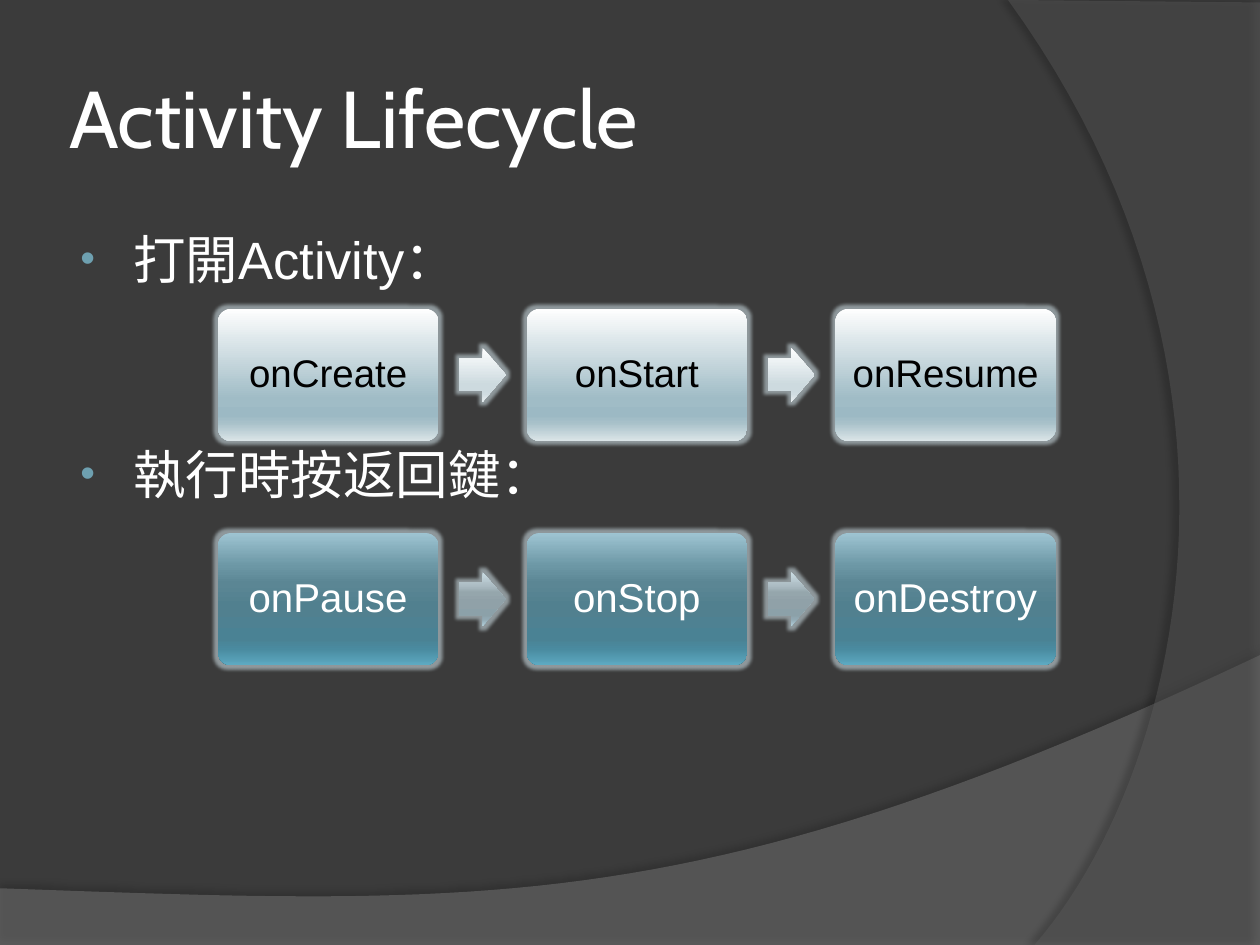
from lxml.etree import SubElement
from pptx import Presentation
from pptx.dml.color import RGBColor
from pptx.enum.shapes import MSO_SHAPE as Preset
from pptx.enum.text import MSO_ANCHOR as Anchor, PP_ALIGN as Align
from pptx.oxml.ns import qn
from pptx.util import Inches, Pt

GRID = Inches(0.1)
COLUMNS, ROWS = 100, 75
BACKDROP = RGBColor(0x3B, 0x3B, 0x3B)
WAVE = RGBColor(0x7F, 0x7F, 0x7F)
ARC = RGBColor(0x5E, 0x5E, 0x5E)
WHITE = RGBColor(0xFF, 0xFF, 0xFF)
BLACK = RGBColor(0x00, 0x00, 0x00)
BULLET = RGBColor(0x6E, 0xA0, 0xB0)
GLOW = RGBColor(0xC8, 0xD8, 0xDE)


def stops(positions, colours):
    """Pair gradient positions in percent with their colours."""
    return [(place, RGBColor.from_string(code)) for place, code in zip(positions, colours.split())]


OPEN_STOPS = (0, 68, 81, 86, 100)
CLOSE_STOPS = (0, 25, 38, 55, 80, 88, 100)
OPEN_CARD = stops(OPEN_STOPS, "FEFEFE A0BCC6 9CB9C4 A7C0C9 DAE4E7")
OPEN_ARROW = stops(OPEN_STOPS, "FEFFFF CDDADF CBD9DE D0DCE1 EAEFF1")
CLOSE_CARD = stops(CLOSE_STOPS, "9EC4D2 6C97A5 5B8694 51808F 4A8294 4A8BA0 5DAAC2")
CLOSE_ARROW = stops(CLOSE_STOPS, "CCDEE5 ACBCC3 95A6AC 90A1A8 8CA1A9 92AAB4 B4D0DC")


def cells(*counts):
    """Turn counts of grid cells into lengths."""
    return [round(count * GRID) for count in counts]


def add_colour(parent, colour, opacity=100):
    """Append a colour with an opacity in percent."""
    tint = SubElement(parent, qn("a:srgbClr"), val=str(colour))
    if opacity < 100:
        SubElement(tint, qn("a:alpha"), val=str(opacity * 1000))


def add_effect(shape, tag, colour, opacity, **settings):
    """Give a shape one effect in place of the theme's."""
    shape.shadow.inherit = False
    effects = shape._element.spPr.find(qn("a:effectLst"))
    values = {name: str(value) for name, value in settings.items()}
    add_colour(SubElement(effects, qn(tag), **values), colour, opacity)


def bezier(start, first, second, end, steps=48):
    """List the points of a cubic curve after its start."""
    curve = []
    for step in range(1, steps + 1):
        t = step / steps
        weights = ((1 - t) ** 3, 3 * t * (1 - t) ** 2, 3 * t * t * (1 - t), t ** 3)
        points = (start, first, second, end)
        curve.append(tuple(sum(w * p[axis] for w, p in zip(weights, points)) for axis in (0, 1)))
    return curve


def add_swoosh(page, points, colour, opacity, shadow):
    """Draw a translucent curved area with a soft shadow."""
    outline = [cells(*point) for point in points]
    builder = page.shapes.build_freeform(*outline[0], scale=1.0)
    builder.add_line_segments(outline[1:], close=True)
    shape = builder.convert_to_shape()
    shape.fill.solid()
    shape.fill.fore_color.rgb = colour
    tint = shape._element.spPr.find(qn("a:solidFill"))[0]
    SubElement(tint, qn("a:alpha"), val=str(opacity * 1000))
    shape.line.fill.background()
    add_effect(shape, "a:outerShdw", BLACK, **shadow)


def add_backdrop(page):
    """Paint the background, the lower wave and the right arc."""
    page.background.fill.solid()
    page.background.fill.fore_color.rgb = BACKDROP
    crest, shore = (COLUMNS, 52), (0, 70.5)
    wave = [(0, ROWS), (COLUMNS, ROWS), crest, *bezier(crest, (55.9, 72.9), (39.1, 71.9), shore)]
    add_swoosh(page, wave, WAVE, 45,
               dict(opacity=35, blurRad=Pt(4), dist=Pt(3.5), dir=270 * 60000))
    foot, top = (82.1, ROWS), (80, 0)
    arc = [(COLUMNS, 0.2), (COLUMNS, ROWS), foot, *bezier(foot, (93.5, 61.9), (101.8, 30), top)]
    add_swoosh(page, arc, ARC, 40,
               dict(opacity=45, blurRad=Pt(4), dist=Pt(4), dir=180 * 60000))


def style(para, font, size, colour):
    """Format every run of a paragraph."""
    for span in para.runs:
        span.font.name, span.font.size = font, Pt(size)
        span.font.color.rgb = colour


def add_title(page, box, text):
    """Place the slide title."""
    frame = page.shapes.add_textbox(*cells(*box)).text_frame
    frame.word_wrap = True
    frame.vertical_anchor = Anchor.MIDDLE
    frame.margin_left = frame.margin_right = Inches(0.05)
    frame.text = text
    style(frame.paragraphs[0], "Cabin", 46, WHITE)


def add_bullets(page, box, items):
    """Place bulleted lines, each with its own space before."""
    frame = page.shapes.add_textbox(*cells(*box)).text_frame
    frame.word_wrap = True
    frame.text = "\n".join(text for text, space in items)
    for para, (text, space) in zip(frame.paragraphs, items):
        para.space_before = Pt(space)
        style(para, "Arial", 30, WHITE)
        settings = para._p.get_or_add_pPr()
        settings.set("marL", str(Inches(0.46)))
        settings.set("indent", str(Inches(-0.42)))
        add_colour(SubElement(settings, qn("a:buClr")), BULLET)
        SubElement(settings, qn("a:buSzPct"), val="80000")
        SubElement(settings, qn("a:buFont"), typeface="Arial")
        SubElement(settings, qn("a:buChar"), char="•")


def add_glossy(page, preset, box, gradient):
    """Draw a glowing shape with a vertical gradient."""
    shape = page.shapes.add_shape(preset, *cells(*box))
    shape.fill.gradient()
    shape.fill.gradient_angle = 270
    stop_list = shape._element.spPr.find(qn("a:gradFill")).find(qn("a:gsLst"))
    for stop in list(stop_list):
        stop_list.remove(stop)
    for place, colour in gradient:
        add_colour(SubElement(stop_list, qn("a:gs"), pos=str(place * 1000)), colour)
    shape.line.fill.background()
    add_effect(shape, "a:glow", GLOW, 60, rad=Pt(4))
    return shape


def add_flow(page, box, names, size, colour, card_fill, arrow_fill):
    """Lay out a row of method cards joined by block arrows."""
    left, top, width, height = box
    card_width, arrow_width, arrow_height = 17.5, 3.7, 4.3
    pitch = (width - card_width) / (len(names) - 1)
    gap = (pitch - card_width - arrow_width) / 2
    for index, name in enumerate(names):
        x = left + index * pitch
        card = add_glossy(page, Preset.ROUNDED_RECTANGLE, (x, top, card_width, height), card_fill)
        card.adjustments[0] = 0.1
        frame = card.text_frame
        frame.word_wrap = True
        frame.vertical_anchor = Anchor.MIDDLE
        frame.margin_left = frame.margin_right = Inches(0.1)
        frame.text = name
        para = frame.paragraphs[0]
        para.alignment = Align.CENTER
        para.line_spacing = 0.9
        style(para, "Arial", size, colour)
        if index < len(names) - 1:
            arrow_box = (x + card_width + gap, top + (height - arrow_height) / 2,
                         arrow_width, arrow_height)
            arrow = add_glossy(page, Preset.RIGHT_ARROW, arrow_box, arrow_fill)
            arrow.adjustments[0] = 0.6


def main():
    """Build and save the lifecycle slide."""
    deck = Presentation()
    deck.slide_width, deck.slide_height = cells(COLUMNS, ROWS)
    page = deck.slides.add_slide(deck.slide_layouts[6])
    add_backdrop(page)
    add_title(page, (5, 3, 81.7, 12.5), "Activity Lifecycle")
    add_bullets(page, (5, 17.5, 81.7, 49.5), [("打開Activity：", 6), ("執行時按返回鍵：", 87)])
    add_flow(page, (17.3, 24.5, 66.5, 10.5), ("onCreate", "onStart", "onResume"),
             22, BLACK, OPEN_CARD, OPEN_ARROW)
    add_flow(page, (17.3, 42.3, 66.5, 10.5), ("onPause", "onStop", "onDestroy"),
             23, WHITE, CLOSE_CARD, CLOSE_ARROW)
    deck.save("out.pptx")


if __name__ == "__main__":
    main()
